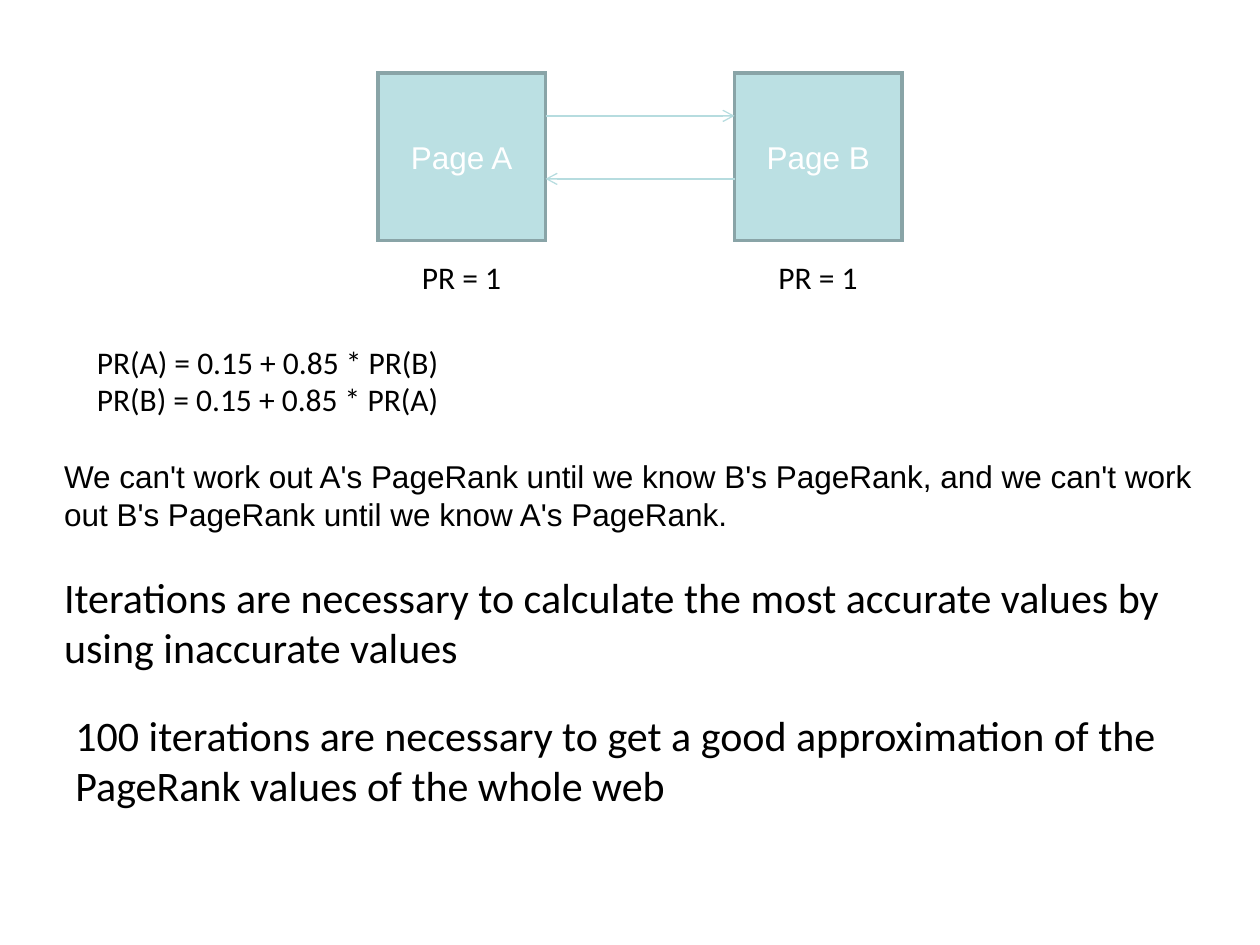
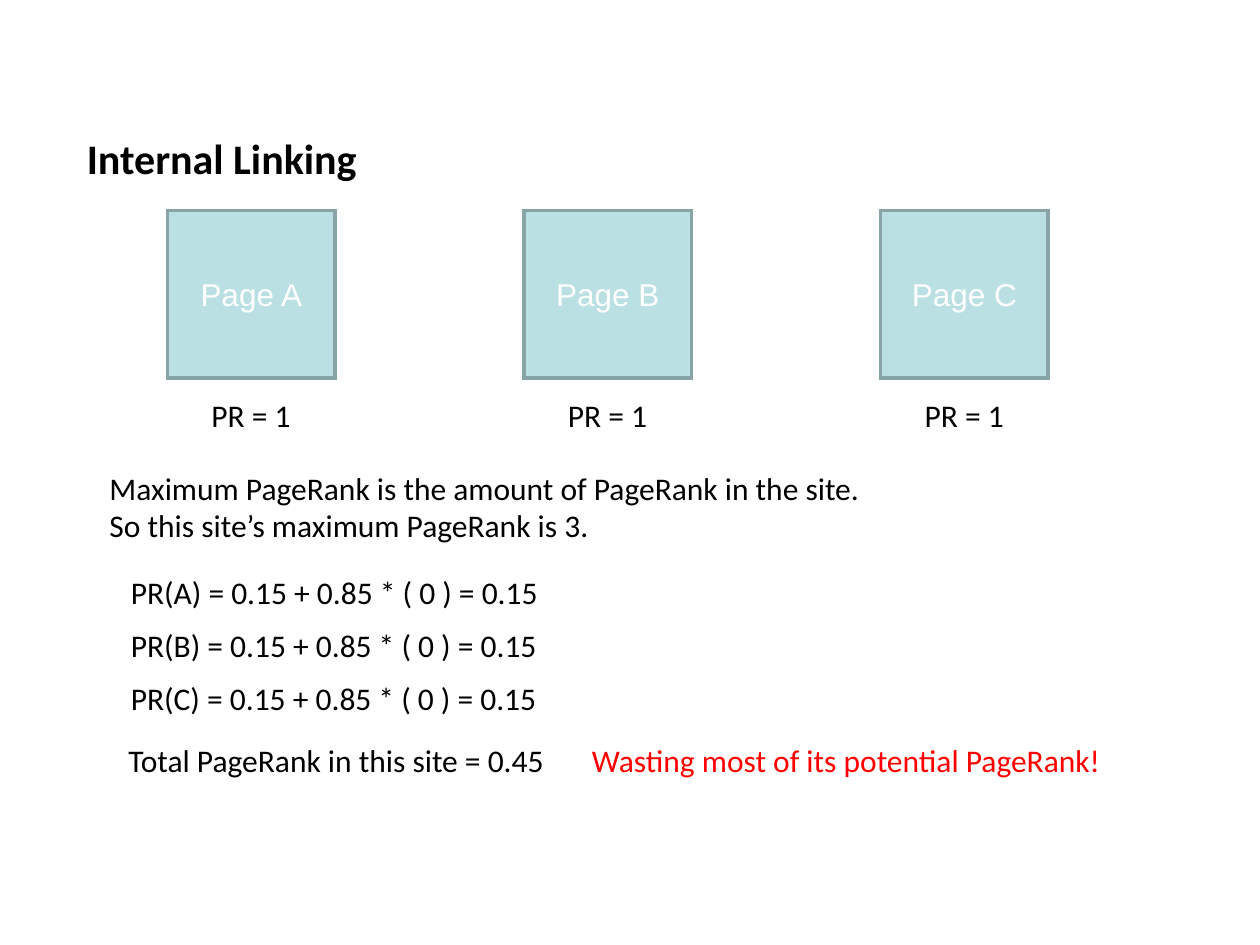
from lxml import etree
from pptx import Presentation
from pptx.dml.color import RGBColor as Rgb
from pptx.enum.shapes import MSO_CONNECTOR as Conn, MSO_SHAPE as Kind
from pptx.enum.text import MSO_ANCHOR as Anchor, MSO_AUTO_SIZE as Fit, PP_ALIGN as Align
from pptx.oxml.ns import qn
from pptx.util import Inches, Pt

BLACK = Rgb(0x00, 0x00, 0x00)
WHITE = Rgb(0xFF, 0xFF, 0xFF)
RED = Rgb(0xFF, 0x00, 0x00)
TEAL = Rgb(0xBB, 0xE0, 0xE3)
EDGE = Rgb(0x89, 0xA4, 0xA7)
ARROW = Rgb(0xB6, 0xDC, 0xDF)

# Text styles
BODY = {"name": "Calibri", "size": Pt(18), "color": BLACK}
PLAIN = {**BODY, "name": "Arial"}
LARGE = {**BODY, "size": Pt(24)}
TITLE = {**LARGE, "bold": True}
ALERT = {**BODY, "color": RED}
LABEL = {**PLAIN, "color": WHITE}

# Page boxes: side, distance between left edges, rank label
SIDE, STEP = 1.33, 2.83
RANK, RANK_W, RANK_GAP = "PR = 1", 0.83, 1.42
ROW_H, SUM_STEP = 0.4, 0.42

# Slide content: pages (names, left, top), links (from x, to x, y),
# notes (left, top, width, height, wrap, groups of style, gap before, lines)
LOOP = {
    "pages": (["Page A", "Page B"], 3, 0.58),
    "links": [(4.33, 5.83, 0.92), (5.83, 4.33, 1.42)],
    "notes": [
        (0.67, 2.67, 3.83, 0.7, True, [
            (BODY, 0, ["PR(A) = 0.15 + 0.85 * PR(B)",
                       "PR(B) = 0.15 + 0.85 * PR(A)"])]),
        (0.41, 3.58, 9.18, 1.8, False, [
            (PLAIN, 0, ["We can't work out A's PageRank until we know B's PageRank, and we can't work",
                        "out B's PageRank until we know A's PageRank."]),
            (LARGE, 22, ["Iterations are necessary to calculate the most accurate values by",
                         "using inaccurate values"])]),
        (0.5, 5.58, 8.89, 0.9, False, [
            (LARGE, 0, ["100 iterations are necessary to get a good approximation of the",
                        "PageRank values of the whole web"])]),
    ],
}
SUMS = [f"PR({page}) = 0.15 + 0.85 * ( 0 ) = 0.15" for page in "ABC"]
INNER = {
    "pages": (["Page A", "Page B", "Page C"], 1.33, 1.67),
    "links": [],
    "notes": [
        (0.59, 1, 2.35, 0.5, False, [(TITLE, 0, ["Internal Linking"])]),
        (0.77, 3.67, 6.18, 0.7, False, [
            (BODY, 0, ["Maximum PageRank is the amount of PageRank in the site.",
                       "So this site’s maximum PageRank is 3."])]),
        *[(0.94, 4.5 + SUM_STEP * row, 3.5, ROW_H, True, [(BODY, 0, [line])])
          for row, line in enumerate(SUMS)],
        (0.92, 5.83, 3.54, ROW_H, False, [
            (BODY, 0, ["Total PageRank in this site = 0.45"])]),
        (4.6, 5.83, 4.27, ROW_H, False, [
            (ALERT, 0, ["Wasting most of its potential PageRank!"])]),
    ],
}


def style(run, look):
    for key, value in look.items():
        if key == "color":
            run.font.color.rgb = value
        else:
            setattr(run.font, key, value)


def add_note(slide, left, top, width, height, wrap, groups):
    box = slide.shapes.add_textbox(*map(Inches, (left, top, width, height)))
    frame = box.text_frame
    frame.word_wrap = wrap
    frame.auto_size = Fit.SHAPE_TO_FIT_TEXT
    para = None
    for look, gap, lines in groups:
        for i, line in enumerate(lines):
            para = frame.add_paragraph() if para else frame.paragraphs[0]
            if gap and i == 0:
                para.space_before = Pt(gap)
            run = para.add_run()
            run.text = line
            style(run, look)


def add_page(slide, name, left, top):
    box = slide.shapes.add_shape(Kind.RECTANGLE, *map(Inches, (left, top, SIDE, SIDE)))
    box.shadow.inherit = False
    box.fill.solid()
    box.fill.fore_color.rgb = TEAL
    box.line.color.rgb = EDGE
    box.line.width = Pt(2)
    # Square corners on the outline
    etree.SubElement(box.line._get_or_add_ln(), qn("a:miter"), lim="800000")
    frame = box.text_frame
    frame.vertical_anchor = Anchor.MIDDLE
    para = frame.paragraphs[0]
    para.alignment = Align.CENTER
    run = para.add_run()
    run.text = name
    style(run, LABEL)
    # Rank centred below the page
    add_note(slide, left + (SIDE - RANK_W) / 2, top + RANK_GAP, RANK_W, ROW_H,
             False, [(BODY, 0, [RANK])])


def add_link(slide, start, end, y):
    link = slide.shapes.add_connector(Conn.STRAIGHT, *map(Inches, (start, y, end, y)))
    link.line.color.rgb = ARROW
    link.line.width = Pt(0.75)
    etree.SubElement(link.line._get_or_add_ln(), qn("a:tailEnd"), type="arrow")
    etree.SubElement(link._element.spPr, qn("a:effectLst"))


def main():
    deck = Presentation()
    deck.slide_width, deck.slide_height = Inches(10), Inches(7.5)
    for part in (LOOP, INNER):
        slide = deck.slides.add_slide(deck.slide_layouts[6])
        names, left, top = part["pages"]
        for col, name in enumerate(names):
            add_page(slide, name, left + col * STEP, top)
        for link in part["links"]:
            add_link(slide, *link)
        for note in part["notes"]:
            add_note(slide, *note)
    deck.save("out.pptx")


if __name__ == "__main__":
    main()
